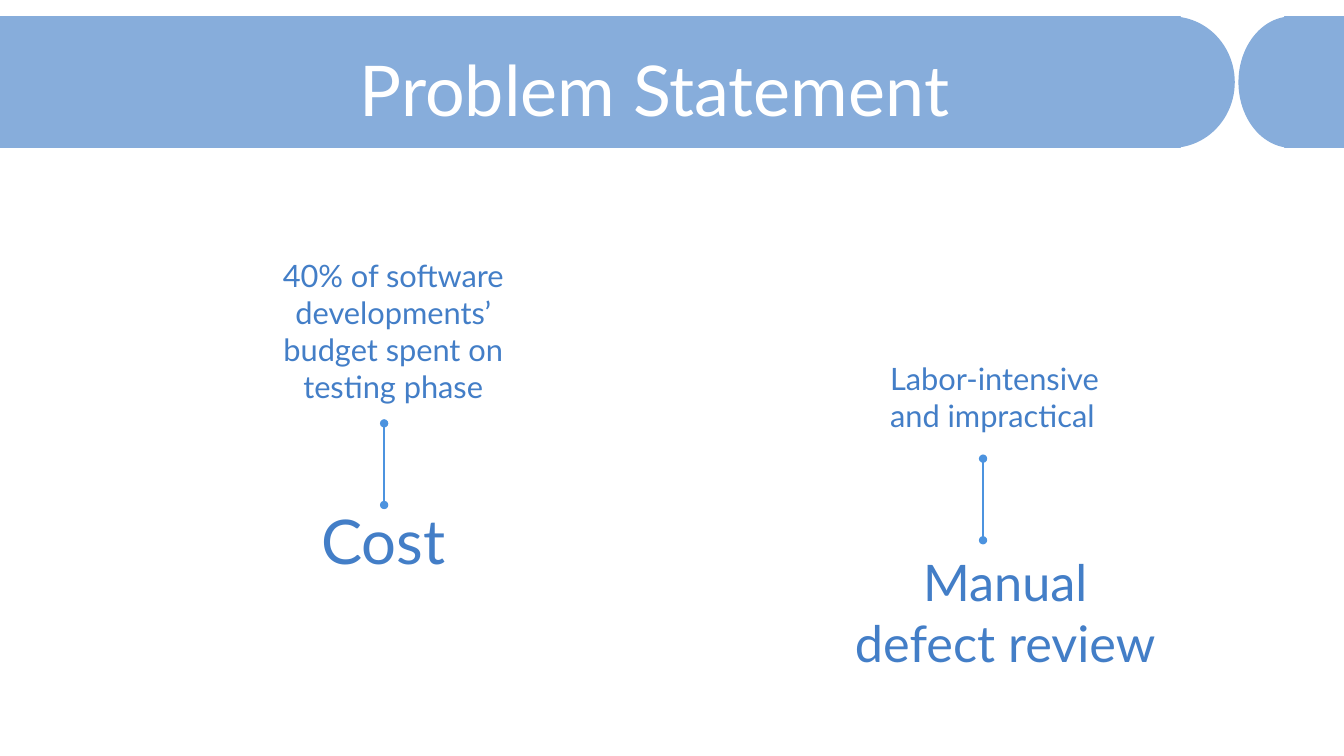
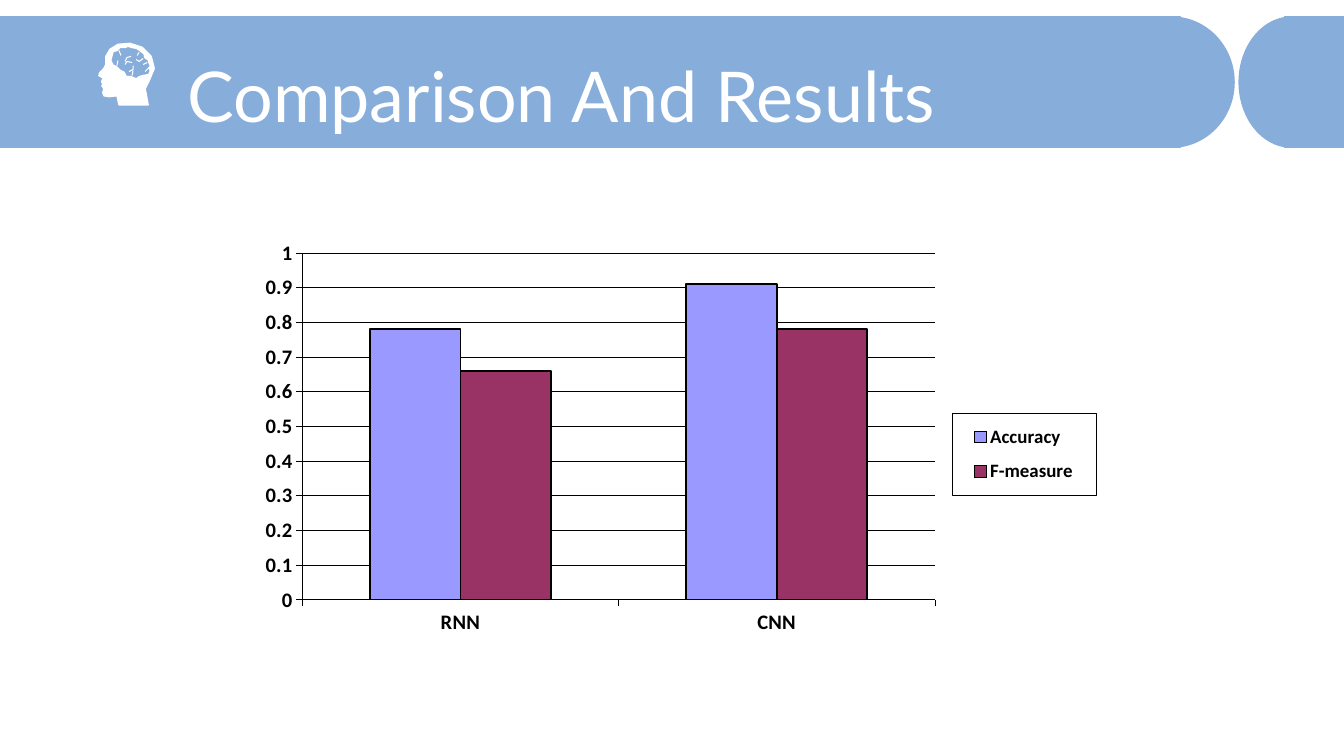
from dataclasses import dataclass

from lxml import etree
from pptx import Presentation
from pptx.chart.data import CategoryChartData
from pptx.dml.color import RGBColor
from pptx.enum.chart import XL_CHART_TYPE, XL_LEGEND_POSITION, XL_TICK_LABEL_POSITION, XL_TICK_MARK
from pptx.enum.shapes import MSO_CONNECTOR, MSO_SHAPE
from pptx.enum.text import MSO_ANCHOR, PP_ALIGN
from pptx.oxml import parse_xml
from pptx.oxml.ns import nsdecls, qn
from pptx.util import Pt

PX = 9144  # EMU in one px, 100 px to the inch
WIDE, HIGH = 1333, 750

RECT, OVAL = MSO_SHAPE.RECTANGLE, MSO_SHAPE.OVAL
LEFT, MID, JUST = PP_ALIGN.LEFT, PP_ALIGN.CENTER, PP_ALIGN.JUSTIFY
TOP, CENTRE = MSO_ANCHOR.TOP, MSO_ANCHOR.MIDDLE
COLUMN, RIGHT = XL_CHART_TYPE.COLUMN_CLUSTERED, XL_LEGEND_POSITION.RIGHT
LOW, OUT, NONE = XL_TICK_LABEL_POSITION.LOW, XL_TICK_MARK.OUTSIDE, XL_TICK_MARK.NONE


@dataclass(frozen=True)
class Theme:
    font: str = "Lato"
    data: str = "Calibri"
    band: str = "87ADDB"
    white: str = "FFFFFF"
    ink: str = "437EC7"
    link: str = "4C93DF"
    black: str = "000000"
    bars: tuple = ("9999FF", "993366")
    title: int = 50
    head: int = 44
    sub: int = 36
    note: int = 22
    axis: float = 14.7
    key: float = 13.5


T = Theme()

HEAD = [(31, 0), (43, 4), (52, 13), (55, 25), (50, 37), (46, 45), (49, 61),
        (20, 61), (18, 52), (10, 53), (5, 52), (4, 49), (5, 45), (3, 42),
        (5, 40), (3, 39), (3, 37), (5, 35), (0, 32), (1, 29), (5, 25),
        (7, 21), (7, 13), (11, 6), (19, 1)]
BRAIN = [(27, 5), (22, 5), (19, 8), (15, 9), (14, 13), (13, 17), (15, 21),
         (18, 22), (22, 26), (26, 28), (28, 32), (32, 32), (37, 34), (40, 32),
         (44, 31), (49, 30), (50, 27), (49, 25), (50, 22), (49, 20), (48, 17),
         (45, 15), (44, 11), (40, 8), (37, 6), (32, 5), (29, 4)]
FOLDS = [[(18, 22), (19, 17)], [(26, 21), (28, 18), (33, 19)],
         [(30, 28), (34, 26), (34, 22)], [(37, 16), (40, 18), (44, 15)],
         [(44, 21), (48, 19)], [(26, 18), (28, 14), (32, 13)],
         [(38, 12), (40, 9)], [(46, 28), (50, 24)], [(20, 7), (22, 12)],
         [(34, 27), (33, 32)]]


def emu(*sizes):
    return [round(size * PX) for size in sizes]


def put(item, **vals):
    for name, val in vals.items():
        setattr(item, name, val)


def style(font, size, tint, face=T.font, bold=False):
    put(font, size=Pt(size), name=face, bold=bold)
    font.color.rgb = RGBColor.from_string(tint)


def stroke(line, tint, width):
    line.color.rgb = RGBColor.from_string(tint)
    line.width = Pt(width)


def paint(shape, fill, line, width=1):
    shape.shadow.inherit = False
    if fill:
        shape.fill.solid()
        shape.fill.fore_color.rgb = RGBColor.from_string(fill)
    else:
        shape.fill.background()
    stroke(shape.line, line, width)


def write(slide, box, text, size, tint=T.ink, align=LEFT, pad=0, anchor=TOP, **para):
    frame = slide.shapes.add_textbox(*emu(*box)).text_frame
    put(frame, word_wrap=True, vertical_anchor=anchor)
    line = frame.paragraphs[0]
    put(line, alignment=align, **para)
    if pad:
        line._p.get_or_add_pPr().set("marL", str(pad * PX))
    run = line.add_run()
    run.text = text
    style(run.font, size, tint)


def band(slide, box, title, left, top):
    """Draw the two rounded bands and the title, at an offset in the box."""
    x, y, w, h = box
    parts = [(RECT, 0, 1171), (OVAL, 1100, 124), (OVAL, w - 104, 104), (RECT, w - 59, 59)]
    for kind, dx, wide in parts:
        shape = slide.shapes.add_shape(kind, *emu(x + dx, y, wide, h))
        paint(shape, T.band, T.band)
    write(slide, (x + left, y + top, 870, 79), title, T.title, T.white,
          anchor=CENTRE, line_spacing=0.7, space_before=Pt(10))


def trace(slide, x, y, paths, fill, line, width, close=True):
    """Draw paths, given relative to x and y, as one freeform."""
    pen = slide.shapes.build_freeform(*paths[0][0], scale=PX)
    for index, points in enumerate(paths):
        if index:
            pen.move_to(*points[0])
        pen.add_line_segments(points[1:], close=close)
    paint(pen.convert_to_shape(*emu(x, y)), fill, line, width)


def mind(slide, x, y):
    """Draw the head with a brain."""
    trace(slide, x, y, [HEAD], T.white, T.white, 1)
    trace(slide, x, y, [BRAIN], T.band, T.band, 0.25)
    trace(slide, x, y, FOLDS, None, T.white, 0.75, close=False)


def link(slide, x, y, high):
    """Draw an upright line with a dot at each end."""
    line = slide.shapes.add_connector(MSO_CONNECTOR.STRAIGHT, *emu(x, y + high, x, y))
    stroke(line.line, T.link, 1.5)
    props = line._element.spPr
    for end in ("headEnd", "tailEnd"):
        etree.SubElement(props.find(qn("a:ln")), qn("a:" + end), type="oval")
    etree.SubElement(props, qn("a:effectLst"))


def place(node, spot, box, inner=False):
    """Give a chart part a fixed layout, just before the element spot."""
    for old in node.findall(qn("c:layout")):
        node.remove(old)
    vals = [("layoutTarget", "inner")] if inner else []
    vals += [("xMode", "edge"), ("yMode", "edge"), *zip("xywh", box)]
    body = "".join(f'<c:{tag} val="{val}"/>' for tag, val in vals)
    spot.addprevious(parse_xml(
        f'<c:layout {nsdecls("c")}><c:manualLayout>{body}</c:manualLayout></c:layout>'))


def legend(chart):
    chart.has_legend = True
    key = chart.legend
    put(key, position=RIGHT, include_in_layout=False)
    style(key.font, T.key, T.black, T.data, True)
    node = key._element
    over = node.find(qn("c:overlay"))
    place(node, over, (0.83, 0.41, 0.17, 0.19))
    over.addnext(parse_xml(
        f'<c:spPr {nsdecls("c", "a")}><a:noFill/><a:ln w="3175"><a:solidFill>'
        f'<a:srgbClr val="{T.black}"/></a:solidFill></a:ln></c:spPr>'))


def graph(slide, box, cats, rows):
    data = CategoryChartData()
    data.categories = cats
    for name, vals in rows.items():
        data.add_series(name, vals)
    chart = slide.shapes.add_chart(COLUMN, *emu(*box), data).chart
    chart.has_title = False
    style(chart.font, T.axis, T.black, T.data, True)

    plot = chart.plots[0]
    put(plot, gap_width=150, overlap=0, vary_by_categories=False)
    for bar, tint in zip(plot.series, T.bars):
        bar.format.fill.solid()
        bar.format.fill.fore_color.rgb = RGBColor.from_string(tint)
        stroke(bar.format.line, T.black, 1.25)

    base, side = chart.category_axis, chart.value_axis
    for axis in (base, side):
        put(axis, major_tick_mark=OUT, minor_tick_mark=NONE)
        style(axis.tick_labels.font, T.axis, T.black, T.data, True)
        stroke(axis.format.line, T.black, 0.31)
    base.tick_label_position = LOW
    put(side, minimum_scale=0, maximum_scale=1, major_unit=0.1, has_major_gridlines=True)
    put(side.tick_labels, number_format="General", number_format_is_linked=False)
    stroke(side.major_gridlines.format.line, T.black, 0.31)

    area = chart._chartSpace.chart.plotArea
    place(area, area.find(qn("c:barChart")), (0.063, 0.037, 0.747, 0.806), True)
    legend(chart)


def cost(slide, x, y):
    write(slide, (x, y, 268, 188),
          "40% of software developments’ budget spent on testing phase",
          T.note, align=MID, pad=16)
    link(slide, x + 133, y + 170, 81)
    write(slide, (x + 61, y + 244, 144, 84), "Cost", T.head, align=JUST)


def review(slide, x, y):
    write(slide, (x + 26, y, 257, 114), "Labor-intensive and impractical", T.note, pad=16)
    link(slide, x + 144, y + 103, 81)
    write(slide, (x, y + 190, 332, 140), "Manual defect review", T.sub, align=MID)


def main():
    deck = Presentation()
    deck.slide_width, deck.slide_height = emu(WIDE, HIGH)
    blank = deck.slide_layouts[6]
    strip = (0, 17, WIDE, 129)

    slide = deck.slides.add_slide(blank)
    band(slide, strip, "Problem Statement", 347, 42)
    cost(slide, 248, 250)
    review(slide, 831, 352)

    slide = deck.slides.add_slide(blank)
    band(slide, strip, "Comparison And Results", 176, 47)
    mind(slide, 98, 43)
    graph(slide, (247, 235, 840, 427), ["RNN", "CNN"],
          {"Accuracy": (0.78, 0.91), "F-measure": (0.66, 0.78)})
    deck.save("out.pptx")


if __name__ == "__main__":
    main()
